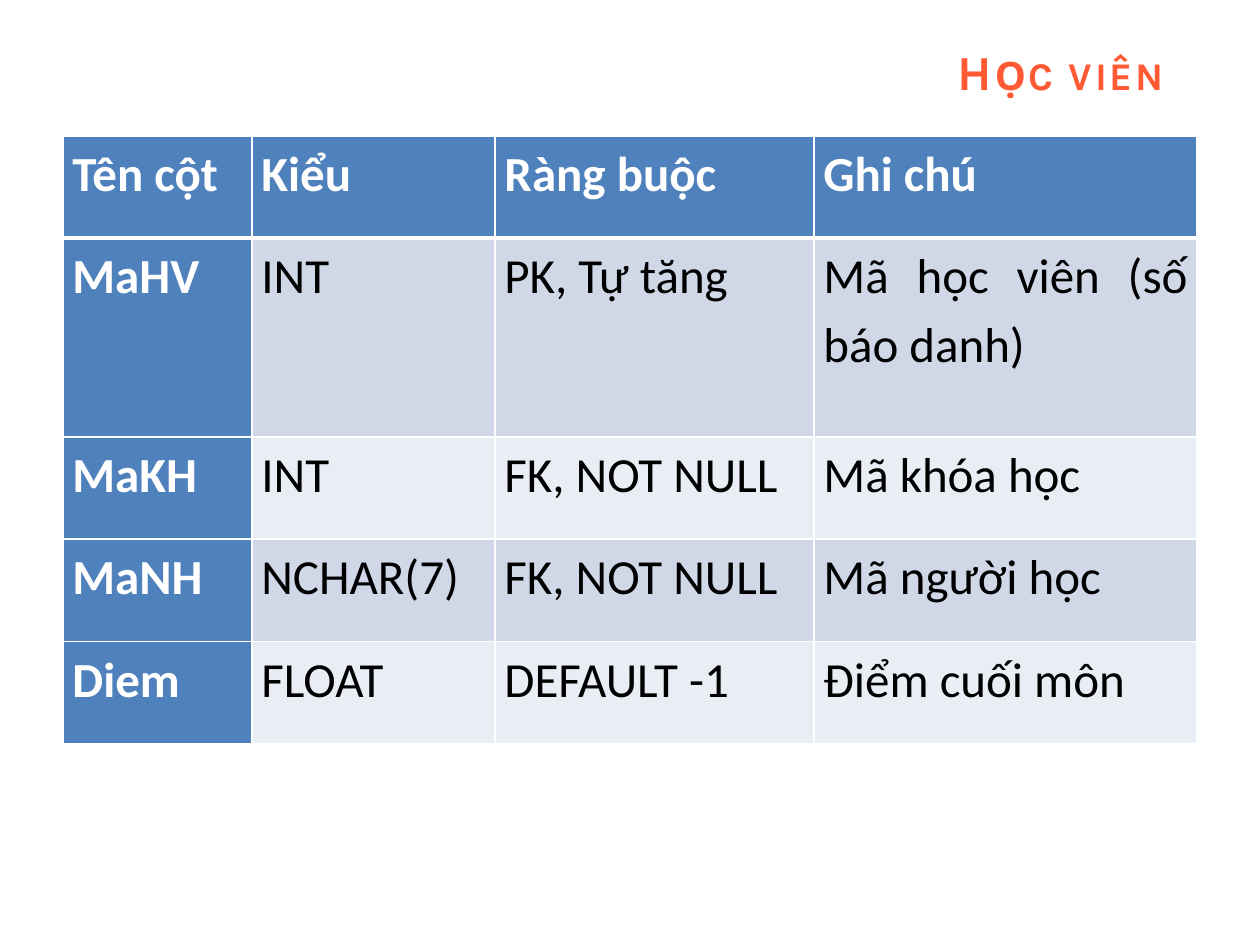
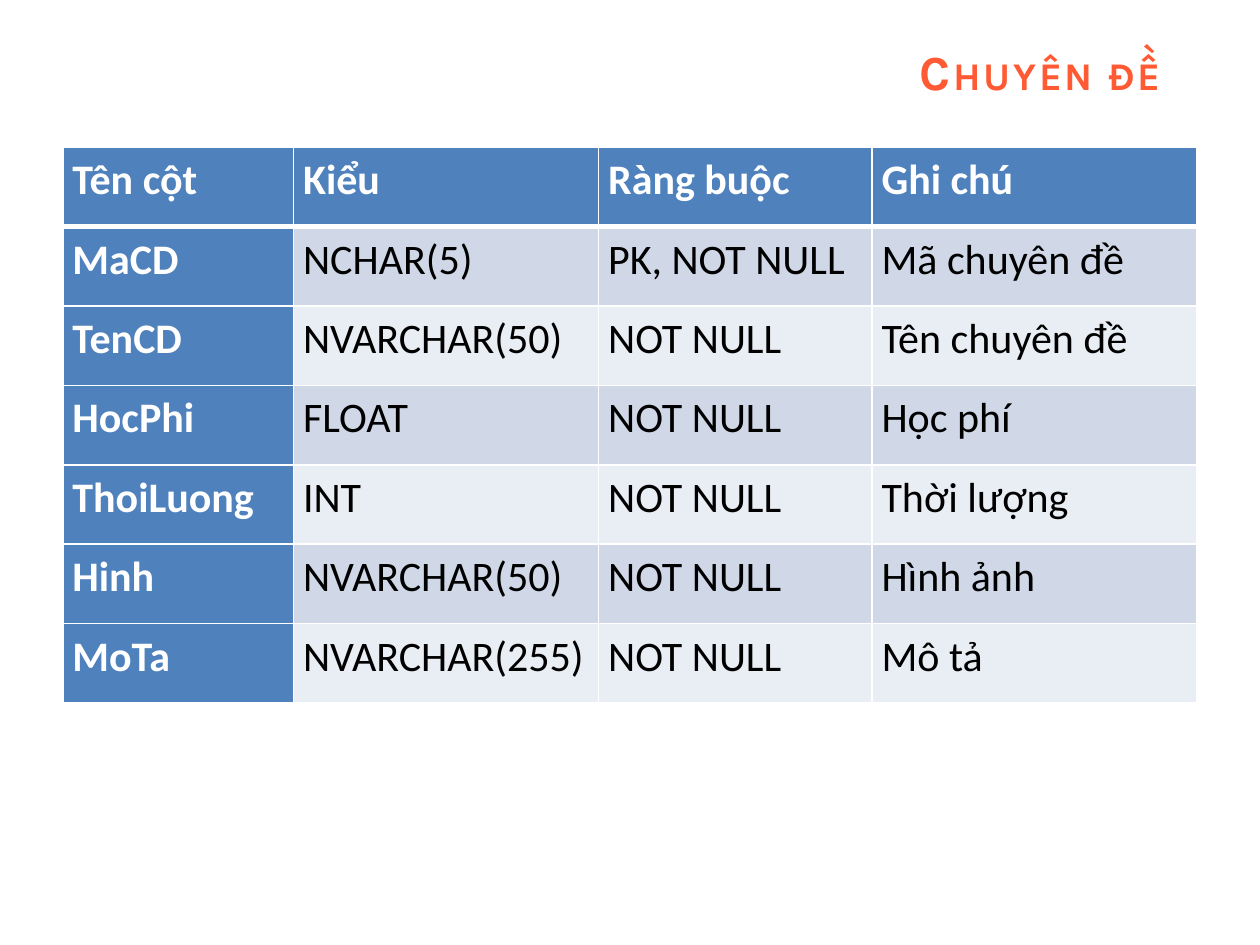
from dataclasses import dataclass

from lxml.etree import SubElement
from pptx import Presentation
from pptx.dml.color import RGBColor as RGB
from pptx.enum.text import MSO_ANCHOR as Anchor, PP_ALIGN as Align
from pptx.oxml.ns import qn
from pptx.util import Cm, Pt


@dataclass(frozen=True)
class Theme:
    title_color: str = "FF5A33"
    header_fill: str = "4F81BD"
    band_fills: tuple = ("D0D8E8", "E9EDF4")
    light: str = "FFFFFF"
    dark: str = "000000"
    title_font: str = "Karla"
    body_font: str = "Calibri"
    title_size: int = 28
    rule: int = 1
    header_rule: int = 3


theme = Theme()


def write(frame, text, *, size, font, color, bold=False, align=Align.JUSTIFY,
          line=None, gap=None, small_caps=False, tracking=None):
    paragraph = frame.paragraphs[0]
    paragraph.alignment = align
    if line:
        paragraph.line_spacing = line
    if gap:
        paragraph.space_before = paragraph.space_after = Pt(gap)
    run = paragraph.add_run()
    run.text = text
    run.font.size = Pt(size)
    run.font.name = font
    run.font.bold = bold
    run.font.color.rgb = RGB.from_string(color)
    properties = run.font._element
    if small_caps:
        properties.set("cap", "small")
    if tracking:
        properties.set("spc", str(tracking))


def draw_border(cell, side, width):
    border = SubElement(cell._tc.get_or_add_tcPr(), qn(f"a:ln{side}"), w=str(Pt(width)))
    fill = SubElement(border, qn("a:solidFill"))
    SubElement(fill, qn("a:srgbClr"), val=theme.light)


headings = ("Tên cột", "Kiểu", "Ràng buộc", "Ghi chú")
schemas = [
    dict(
        title="Học viên", top=2.74, size=28,
        widths=(3.81, 4.9, 6.43, 7.72),
        heights=(2.06, 4.01, 2.06, 2.06, 2.06),
        fields=[
            ("MaHV", "INT", "PK, Tự tăng", "Mã học viên (số báo danh)"),
            ("MaKH", "INT", "FK, NOT NULL", "Mã khóa học"),
            ("MaNH", "NCHAR(7)", "FK, NOT NULL", "Mã người học"),
            ("Diem", "FLOAT", "DEFAULT -1", "Điểm cuối môn"),
        ],
    ),
    dict(
        title="Chuyên đề", top=2.97, size=24,
        widths=(4.65, 6.15, 5.51, 6.55),
        heights=(1.6,) * 7,
        fields=[
            ("MaCD", "NCHAR(5)", "PK, NOT NULL", "Mã chuyên đề"),
            ("TenCD", "NVARCHAR(50)", "NOT NULL", "Tên chuyên đề"),
            ("HocPhi", "FLOAT", "NOT NULL", "Học phí"),
            ("ThoiLuong", "INT", "NOT NULL", "Thời lượng"),
            ("Hinh", "NVARCHAR(50)", "NOT NULL", "Hình ảnh"),
            ("MoTa", "NVARCHAR(255)", "NOT NULL", "Mô tả"),
        ],
    ),
]

deck = Presentation()
deck.slide_width, deck.slide_height = Cm(25.4), Cm(19.05)

for schema in schemas:
    slide = deck.slides.add_slide(deck.slide_layouts[6])
    slide.background.fill.solid()
    slide.background.fill.fore_color.rgb = RGB.from_string(theme.light)

    title = slide.shapes.add_textbox(Cm(5.72), Cm(0.76), Cm(18.41), Cm(1.35)).text_frame
    title.word_wrap = True
    title.vertical_anchor = Anchor.MIDDLE
    write(title, schema["title"], size=theme.title_size, font=theme.title_font,
          color=theme.title_color, bold=True, align=Align.RIGHT,
          small_caps=True, tracking=150)

    rows = [headings, *schema["fields"]]
    widths, heights = schema["widths"], schema["heights"]
    grid = slide.shapes.add_table(len(rows), len(headings), Cm(1.27), Cm(schema["top"]),
                                  Cm(sum(widths)), Cm(sum(heights))).table
    grid.first_col = True
    for column, width in zip(grid.columns, widths):
        column.width = Cm(width)
    for row, height in zip(grid.rows, heights):
        row.height = Cm(height)

    for r, values in enumerate(rows):
        for c, value in enumerate(values):
            cell = grid.cell(r, c)
            is_heading = r == 0 or c == 0
            cell.margin_left = cell.margin_right = Cm(0.19)
            cell.margin_top = cell.margin_bottom = 0
            top_rule = theme.header_rule if r == 1 else theme.rule
            bottom_rule = theme.header_rule if r == 0 else theme.rule
            for side, width in zip("LRTB", (theme.rule, theme.rule, top_rule, bottom_rule)):
                draw_border(cell, side, width)
            cell.fill.solid()
            cell.fill.fore_color.rgb = RGB.from_string(
                theme.header_fill if is_heading else theme.band_fills[(r - 1) % 2])
            write(cell.text_frame, value, size=schema["size"], font=theme.body_font,
                  color=theme.light if is_heading else theme.dark, bold=is_heading,
                  line=1.15, gap=6)

deck.save("out.pptx")
